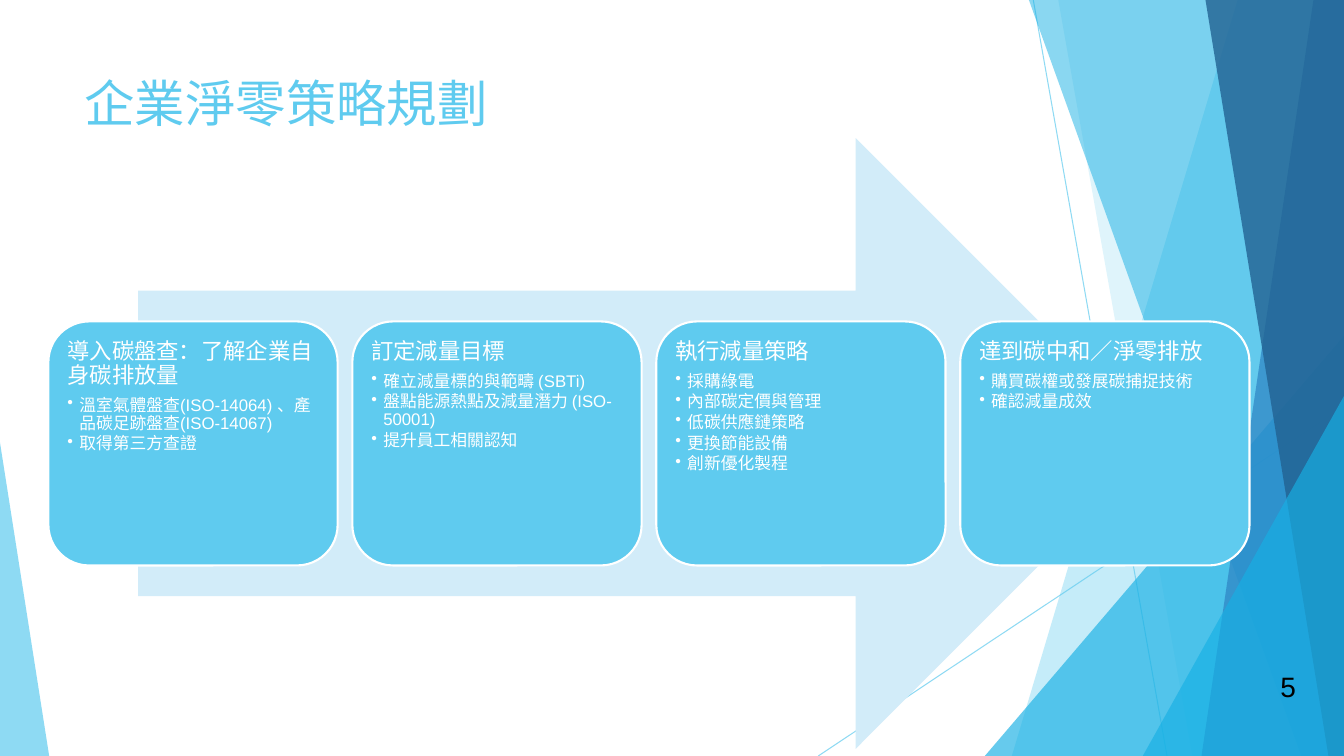
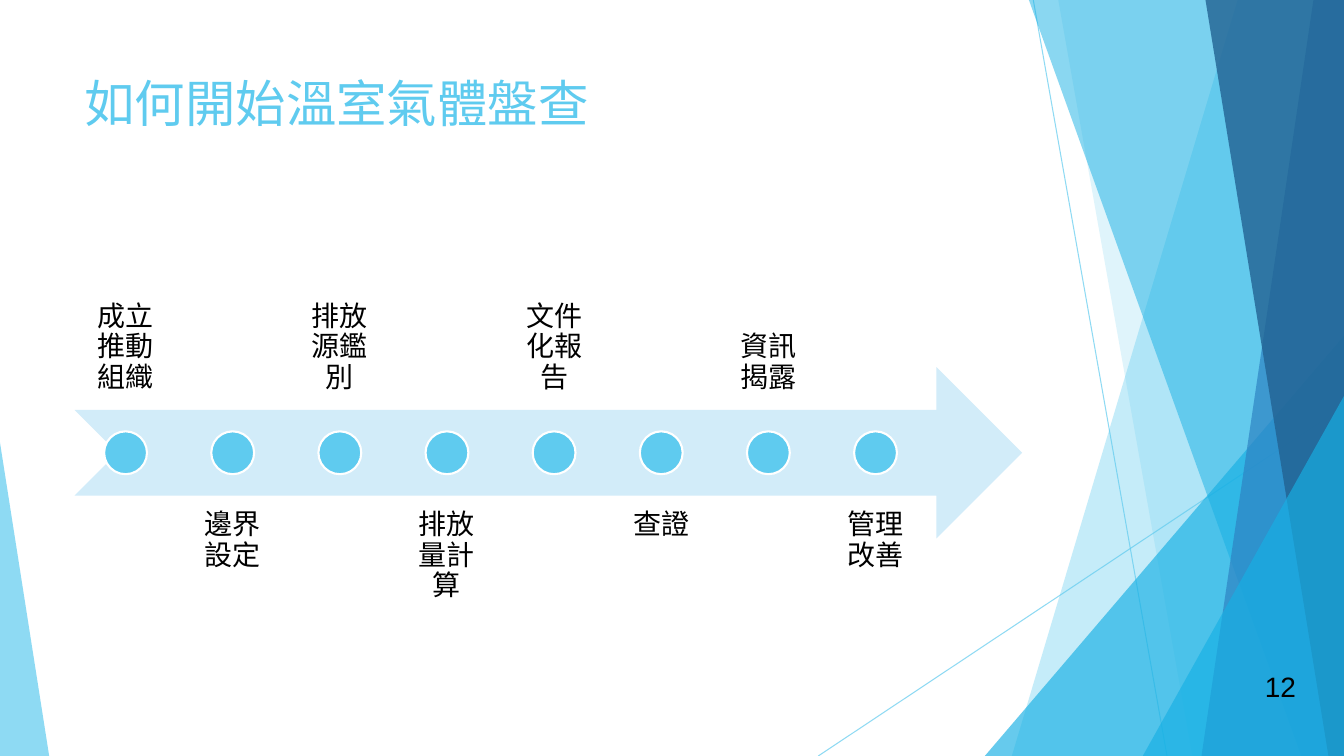
"""Build two slides on corporate net-zero planning and greenhouse gas inventories."""
import lxml.etree
import pptx
import pptx.dml.color
import pptx.enum.shapes
import pptx.enum.text
import pptx.oxml.ns
import pptx.util

Cm = pptx.util.Cm
Pt = pptx.util.Pt
RGBColor = pptx.dml.color.RGBColor
Preset = pptx.enum.shapes.MSO_SHAPE
Align = pptx.enum.text.PP_ALIGN
Anchor = pptx.enum.text.MSO_ANCHOR
qn = pptx.oxml.ns.qn

SKY = RGBColor(0x5F, 0xCB, 0xEF)
PALE = RGBColor(0xD2, 0xEC, 0xF9)
CYAN = RGBColor(0x17, 0xB0, 0xE4)
BLUE = RGBColor(0x2E, 0x83, 0xC3)
NAVY = RGBColor(0x22, 0x62, 0x92)
WHITE = RGBColor(0xFF, 0xFF, 0xFF)
BLACK = RGBColor(0x00, 0x00, 0x00)

FONT = "Arial"
SLIDE_W, SLIDE_H = 33.87, 19.05
CARD_LEFT, CARD_TOP, CARD_W, CARD_H, CARD_PITCH = 1.22, 8.1, 7.29, 6.15, 7.66
STEP_LEFT, STEP_W, STEP_H, STEP_PITCH = 1.88, 2.57, 4.32, 2.7
ABOVE_TOP, ARROW_TOP, BELOW_TOP = 5.99, 9.25, 12.47
DOT = 1.08

STRATEGY = [
    ("導入碳盤查：了解企業自身碳排放量",
     ["溫室氣體盤查(ISO-14064) 、產品碳足跡盤查(ISO-14067)", "取得第三方查證"]),
    ("訂定減量目標",
     ["確立減量標的與範疇 (SBTi)", "盤點能源熱點及減量潛力 (ISO- 50001)",
      "提升員工相關認知"]),
    ("執行減量策略",
     ["採購綠電", "內部碳定價與管理", "低碳供應鏈策略", "更換節能設備", "創新優化製程"]),
    ("達到碳中和／淨零排放",
     ["購買碳權或發展碳捕捉技術", "確認減量成效"]),
]
INVENTORY_STEPS = ["成立推動組織", "邊界設定", "排放源鑑別", "排放量計算",
                   "文件化報告", "查證", "資訊揭露", "管理改善"]


def set_opacity(element, percent):
    for color in element.iter(qn("a:srgbClr")):
        alpha = lxml.etree.SubElement(color, qn("a:alpha"))
        alpha.set("val", str(percent * 1000))


def paint(shape, color, opacity=100, outline=None):
    shape.shadow.inherit = False
    shape.fill.solid()
    shape.fill.fore_color.rgb = color
    if opacity < 100:
        set_opacity(shape.element, opacity)
    if outline is None:
        shape.line.fill.background()
    else:
        shape.line.color.rgb = outline
        shape.line.width = Pt(1.5)


def add_preset(slide, preset, left, top, width, height, color, **style):
    shape = slide.shapes.add_shape(preset, Cm(left), Cm(top), Cm(width), Cm(height))
    paint(shape, color, **style)
    return shape


def add_triangle(slide, left, top, width, apex, color, opacity):
    triangle = add_preset(slide, Preset.ISOSCELES_TRIANGLE, left, top, width,
                          SLIDE_H - top, color, opacity=opacity)
    triangle.adjustments[0] = apex


def add_facet(slide, top_x, bottom_x, color, opacity):
    outline = slide.shapes.build_freeform(Cm(top_x), Cm(0))
    outline.add_line_segments([(Cm(SLIDE_W), Cm(0)), (Cm(SLIDE_W), Cm(SLIDE_H)),
                               (Cm(bottom_x), Cm(SLIDE_H))], close=True)
    paint(outline.convert_to_shape(), color, opacity)


def add_hairline(slide, *ends):
    hairline = slide.shapes.add_connector(pptx.enum.shapes.MSO_CONNECTOR.STRAIGHT,
                                          *[Cm(end) for end in ends])
    hairline.line.color.rgb = SKY
    hairline.line.width = Pt(0.75)
    set_opacity(hairline.element, 70)
    lxml.etree.SubElement(hairline.element.spPr, qn("a:effectLst"))


def set_insets(frame, inset):
    frame.margin_left = frame.margin_right = Cm(inset)
    frame.margin_top = frame.margin_bottom = Cm(inset)


def format_paragraph(paragraph, size, color, align=Align.LEFT):
    paragraph.alignment = align
    for run in paragraph.runs:
        run.font.name = FONT
        run.font.size = Pt(size)
        run.font.color.rgb = color


def tighten(paragraph, after):
    paragraph.line_spacing = 0.9
    paragraph.space_after = Pt(after)


def add_bullet(paragraph):
    properties = paragraph._p.get_or_add_pPr()
    properties.set("marL", str(Cm(0.3)))
    properties.set("indent", str(-Cm(0.3)))
    bullet = lxml.etree.SubElement(properties, qn("a:buChar"))
    bullet.set("char", "•")


def add_label(slide, text, left, top, width, height, size, color,
              align=Align.LEFT, anchor=Anchor.TOP):
    label = slide.shapes.add_textbox(Cm(left), Cm(top), Cm(width), Cm(height))
    frame = label.text_frame
    frame.word_wrap = True
    frame.vertical_anchor = anchor
    frame.text = text
    format_paragraph(frame.paragraphs[0], size, color, align)
    return frame


def add_backdrop(slide):
    add_hairline(slide, 26.04, 0, 29.41, SLIDE_H)
    add_hairline(slide, SLIDE_W, 10.24, 20.62, SLIDE_H)
    add_facet(slide, 31.19, 25.5, SKY, 36)
    add_facet(slide, 26.67, 30.05, SKY, 20)
    add_triangle(slide, 24.82, 8.46, 9.05, 1, CYAN, 66)
    add_facet(slide, 25.93, 32.79, CYAN, 50)
    add_facet(slide, 33.1, 30.28, BLUE, 70)
    add_facet(slide, 30.38, 33.48, NAVY, 80)
    add_triangle(slide, 28.8, 9.98, 5.07, 1, CYAN, 66)
    add_triangle(slide, 0, 11.15, 1.24, 0, SKY, 70)


def add_page(deck, title, number):
    slide = deck.slides.add_slide(deck.slide_layouts[6])
    add_backdrop(slide)
    add_label(slide, title, 1.88, 1.7, 23.88, 3.66, 36, SKY)
    add_label(slide, str(number), 31.01, 16.79, 1.9, 1.02, 20, BLACK,
              Align.RIGHT, Anchor.MIDDLE)
    return slide


def add_card(slide, left, heading, actions):
    card = add_preset(slide, Preset.ROUNDED_RECTANGLE, left, CARD_TOP, CARD_W, CARD_H,
                      SKY, outline=WHITE)
    frame = card.text_frame
    frame.word_wrap = True
    frame.vertical_anchor = Anchor.TOP
    set_insets(frame, 0.18)
    frame.text = "\n".join([heading, *actions])
    first, *rest = frame.paragraphs
    format_paragraph(first, 16, WHITE)
    tighten(first, 5.6)
    for action in rest:
        format_paragraph(action, 12, WHITE)
        tighten(action, 1.8)
        add_bullet(action)


def add_step(slide, index, name):
    left = STEP_LEFT + index * STEP_PITCH
    above = index % 2 == 0
    frame = add_label(slide, name, left, ABOVE_TOP if above else BELOW_TOP,
                      STEP_W, STEP_H, 20, BLACK, Align.CENTER,
                      Anchor.BOTTOM if above else Anchor.TOP)
    set_insets(frame, 0.4)
    tighten(frame.paragraphs[0], 7)
    add_preset(slide, Preset.OVAL, left + (STEP_W - DOT) / 2,
               ARROW_TOP + (STEP_H - DOT) / 2, DOT, DOT, SKY, outline=WHITE)


def build_strategy(deck):
    slide = add_page(deck, "企業淨零策略規劃", 5)
    add_preset(slide, Preset.RIGHT_ARROW, 3.48, 3.48, 25.78, 15.39, PALE)
    for index, (heading, actions) in enumerate(STRATEGY):
        add_card(slide, CARD_LEFT + index * CARD_PITCH, heading, actions)


def build_inventory(deck):
    slide = add_page(deck, "如何開始溫室氣體盤查", 12)
    add_preset(slide, Preset.NOTCHED_RIGHT_ARROW, STEP_LEFT, ARROW_TOP, 23.88, STEP_H, PALE)
    for index, name in enumerate(INVENTORY_STEPS):
        add_step(slide, index, name)


def main():
    deck = pptx.Presentation()
    deck.slide_width, deck.slide_height = Cm(SLIDE_W), Cm(SLIDE_H)
    build_strategy(deck)
    build_inventory(deck)
    deck.save("out.pptx")


if __name__ == "__main__":
    main()
